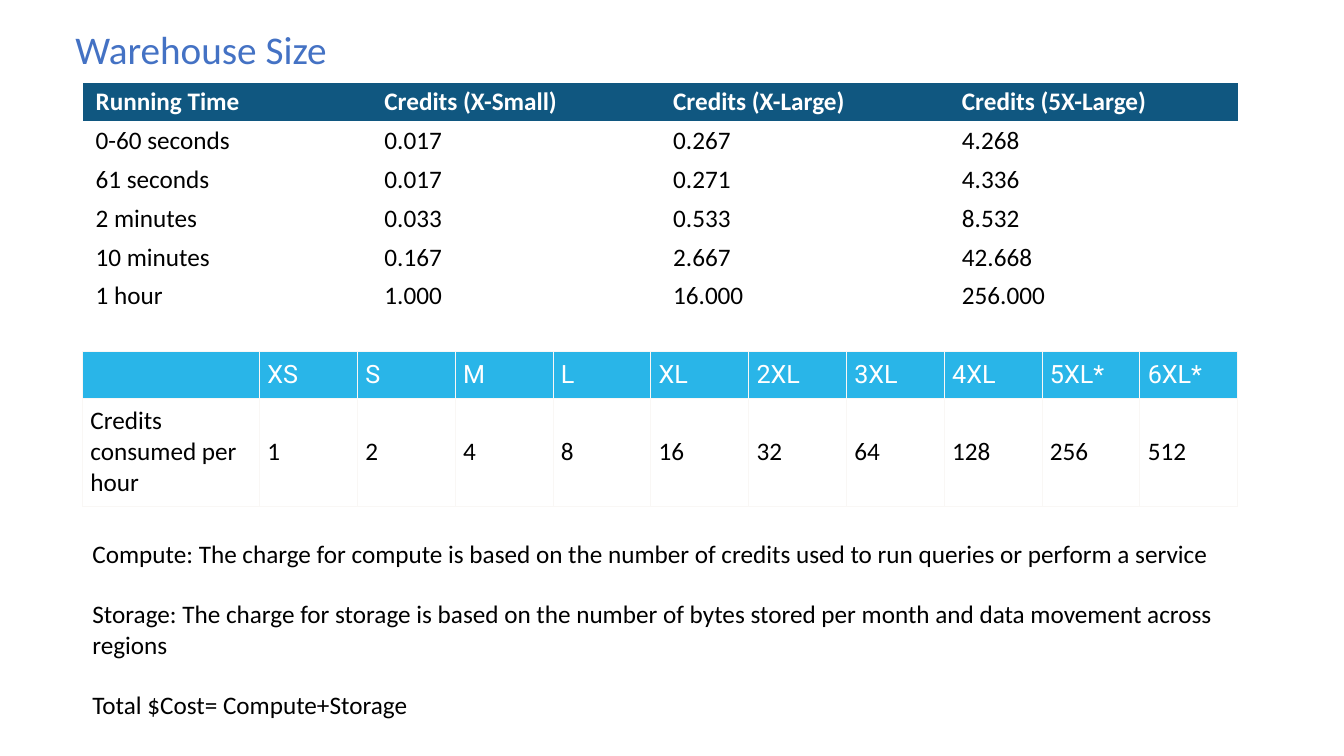
from lxml import etree
from pptx import Presentation
from pptx.dml.color import RGBColor
from pptx.enum.text import MSO_ANCHOR
from pptx.oxml.ns import qn
from pptx.util import Cm, Pt

TOP, MIDDLE, BOTTOM = MSO_ANCHOR.TOP, MSO_ANCHOR.MIDDLE, MSO_ANCHOR.BOTTOM
COLORS = {
    "title": "4472C4",
    "navy": "105780",
    "sky": "29B5E8",
    "white": "FFFFFF",
    "black": "000000",
    "border": "F9F7F5",
}
PLAIN_TABLE = "{2D5ABB26-0587-4C30-8999-92F81FD0307C}"
LEFT, WIDTH = 2.08, 29.11


def rgb(name):
    return RGBColor.from_string(COLORS[name])


def write(p, text, font="Calibri", size=18, color="black", bold=False, after=0):
    p.space_after = Pt(after)
    p.font.size = Pt(size)
    if not text:
        return
    r = p.add_run()
    r.text = text
    r.font.name = font
    r.font.size = Pt(size)
    r.font.bold = bold
    r.font.color.rgb = rgb(color)


def add_borders(cell, color, width):
    tc_pr = cell._tc.get_or_add_tcPr()
    for i, side in enumerate(("lnL", "lnR", "lnT", "lnB")):
        ln = etree.Element(qn("a:" + side), w=str(Pt(width)))
        fill = etree.SubElement(ln, qn("a:solidFill"))
        etree.SubElement(fill, qn("a:srgbClr"), val=COLORS[color])
        tc_pr.insert(i, ln)


class SlideBuilder:
    def __init__(self, prs):
        self.s = prs.slides.add_slide(prs.slide_layouts[6])

    def text(self, left, top, width, height, lines, anchor=TOP, **fmt):
        tf = self.s.shapes.add_textbox(Cm(left), Cm(top), Cm(width), Cm(height)).text_frame
        tf.word_wrap = True
        tf.vertical_anchor = anchor
        for i, line in enumerate(lines):
            p = tf.add_paragraph() if i else tf.paragraphs[0]
            last = i == len(lines) - 1
            write(p, line, **{**fmt, "after": 0 if last else fmt.get("after", 0)})

    def table(self, top, rows, col_widths, row_heights, header, header_fill,
              margins, anchor=TOP, border=None):
        table = self.s.shapes.add_table(
            len(rows), len(col_widths), Cm(LEFT), Cm(top),
            Cm(sum(col_widths)), Cm(sum(row_heights))).table
        table._tbl.tblPr.find(qn("a:tableStyleId")).text = PLAIN_TABLE
        for col, width in zip(table.columns, col_widths):
            col.width = Cm(width)
        for i, (values, height) in enumerate(zip(rows, row_heights)):
            table.rows[i].height = Cm(height)
            for j, value in enumerate(values):
                cell = table.cell(i, j)
                cell.margin_left = cell.margin_right = Cm(margins[0])
                cell.margin_top = cell.margin_bottom = Cm(margins[1])
                cell.vertical_anchor = anchor
                cell.fill.solid()
                cell.fill.fore_color.rgb = rgb("white" if i else header_fill)
                if border:
                    add_borders(cell, border, 0.6)
                write(cell.text_frame.paragraphs[0], value, **({} if i else header))


def main():
    prs = Presentation()
    prs.slide_width, prs.slide_height = Cm(33.87), Cm(19.05)
    slide = SlideBuilder(prs)

    # Credits by running time
    running_times = [
        ["Running Time", "Credits (X-Small)", "Credits (X-Large)", "Credits (5X-Large)"],
        ["0-60 seconds", "0.017", "0.267", "4.268"],
        ["61 seconds", "0.017", "0.271", "4.336"],
        ["2 minutes", "0.033", "0.533", "8.532"],
        ["10 minutes", "0.167", "2.667", "42.668"],
        ["1 hour", "1.000", "16.000", "256.000"],
    ]
    slide.table(2.08, running_times, [WIDTH / 4] * 4, [0.98] * 6,
                header={"color": "white", "bold": True}, header_fill="navy",
                margins=(0.33, 0.1))

    # Title
    slide.text(1.65, 0.51, 15.62, 1.45, ["Warehouse Size"], size=28, color="title")

    # Credits per hour, doubling with each size
    sizes = ["XS", "S", "M", "L", "XL", "2XL", "3XL", "4XL", "5XL*", "6XL*"]
    credits = [str(2 ** n) for n in range(len(sizes))]
    label_width = 4.46
    size_width = (WIDTH - label_width) / len(sizes)
    slide.table(8.86, [[""] + sizes, ["Credits consumed per hour"] + credits],
                [label_width] + [size_width] * len(sizes), [1.17, 2.72],
                header={"color": "white", "font": "Roboto"}, header_fill="sky",
                margins=(0.2, 0.2), anchor=MIDDLE, border="border")

    # Cost notes
    notes = [
        "Compute: The charge for compute is based on the number of credits used "
        "to run queries or perform a service",
        "Storage: The charge for storage is based on the number of bytes stored "
        "per month and data movement across regions",
        "Total $Cost= Compute+Storage",
    ]
    slide.text(LEFT, 11.86, WIDTH, 6.4, notes, anchor=BOTTOM, after=21.6)

    prs.save("out.pptx")


if __name__ == "__main__":
    main()
